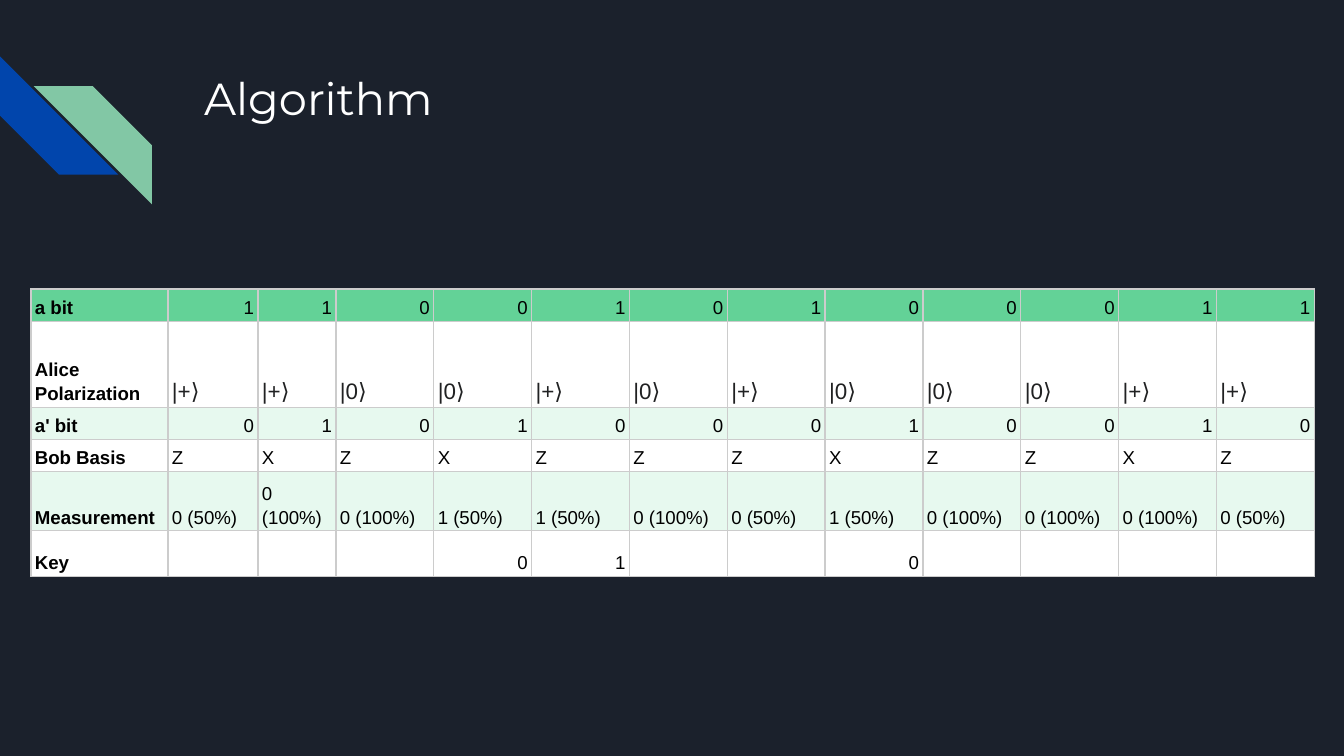
from dataclasses import dataclass

from lxml.etree import SubElement
from pptx import Presentation
from pptx.dml.color import RGBColor
from pptx.enum.shapes import MSO_SHAPE as Shape
from pptx.enum.text import MSO_ANCHOR as Anchor, PP_ALIGN as Align
from pptx.oxml.ns import qn
from pptx.slide import Slide
from pptx.table import _Cell as Cell
from pptx.util import Inches, Pt


@dataclass(frozen=True)
class Theme:
    background: str = "1B212C"
    blue: str = "0145AC"
    green: str = "82C7A5"
    title: str = "FFFFFF"
    header: str = "63D297"
    band: str = "E7F9EF"
    plain: str = "FFFFFF"
    text: str = "000000"
    state: str = "202122"
    border: str = "CCCCCC"
    title_font: str = "Montserrat"
    body_font: str = "Arial"
    title_size: float = 24
    body_size: float = 10
    state_size: float = 12
    border_width: float = 0.75


THEME = Theme()


@dataclass(frozen=True)
class Stripe:
    left: float
    top: float
    color: str
    rotation: float = 0
    mirrored: bool = False


@dataclass(frozen=True)
class ProtocolRow:
    label: str
    values: list[str]
    height: float
    fill: str
    align: Align = Align.LEFT
    size: float = THEME.body_size
    color: str = THEME.text


STRIPE_SIZE = 0.88
STRIPES = [
    Stripe(0, 0.42, THEME.blue, rotation=270),
    Stripe(0.25, 0.64, THEME.green, mirrored=True),
]

ALICE_BITS = "110010100011"
STATES = {"0": "|0⟩", "1": "|+⟩"}
MEASUREMENTS = [
    "0 (50%)", "0 (100%)", "0 (100%)", "1 (50%)", "1 (50%)", "0 (100%)",
    "0 (50%)", "1 (50%)", "0 (100%)", "0 (100%)", "0 (100%)", "0 (50%)",
]
KEY = ["", "", "", "0", "1", "", "", "0", "", "", "", ""]

ROWS = [
    ProtocolRow("a bit", list(ALICE_BITS), 0.24, THEME.header, Align.RIGHT),
    ProtocolRow("Alice Polarization", [STATES[bit] for bit in ALICE_BITS], 0.64,
                THEME.plain, size=THEME.state_size, color=THEME.state),
    ProtocolRow("a' bit", list("010100010010"), 0.24, THEME.band, Align.RIGHT),
    ProtocolRow("Bob Basis", list("ZXZXZZZXZZXZ"), 0.24, THEME.plain),
    ProtocolRow("Measurement", MEASUREMENTS, 0.44, THEME.band),
    ProtocolRow("Key", KEY, 0.29, THEME.plain, Align.RIGHT),
]
TABLE_WIDTH = 9.55
FIRST_WIDTHS = [1.02, 0.67, 0.58]
EQUAL_COLUMNS = 10
COLUMN_WIDTHS = FIRST_WIDTHS + [
    (TABLE_WIDTH - sum(FIRST_WIDTHS)) / EQUAL_COLUMNS] * EQUAL_COLUMNS


def rgb(color: str) -> RGBColor:
    return RGBColor.from_string(color)


def add_run(paragraph, text: str, font: str, size: float, color: str,
            bold: bool = False) -> None:
    run = paragraph.add_run()
    run.text = text
    run.font.name = font
    run.font.size = Pt(size)
    run.font.bold = bold
    run.font.color.rgb = rgb(color)


def add_stripe(slide: Slide, stripe: Stripe) -> None:
    shape = slide.shapes.add_shape(
        Shape.DIAGONAL_STRIPE, Inches(stripe.left), Inches(stripe.top),
        Inches(STRIPE_SIZE), Inches(STRIPE_SIZE))
    shape.adjustments[0] = 0.5
    shape.rotation = stripe.rotation
    if stripe.mirrored:
        shape.element.spPr.find(qn("a:xfrm")).set("flipH", "1")
    shape.shadow.inherit = False
    shape.fill.solid()
    shape.fill.fore_color.rgb = rgb(stripe.color)
    shape.line.fill.background()


def add_title(slide: Slide, text: str) -> None:
    frame = slide.shapes.add_textbox(
        Inches(1.42), Inches(0.43), Inches(7.7), Inches(1)).text_frame
    frame.word_wrap = True
    frame.margin_left = frame.margin_right = Inches(0.1)
    frame.margin_top = frame.margin_bottom = Inches(0.1)
    add_run(frame.paragraphs[0], text, THEME.title_font, THEME.title_size, THEME.title)


def set_borders(cell: Cell) -> None:
    """Borders go before the fill in the cell properties, so call this first."""
    properties = cell._tc.get_or_add_tcPr()
    for side in ("a:lnL", "a:lnR", "a:lnT", "a:lnB"):
        line = SubElement(properties, qn(side), w=str(Pt(THEME.border_width)))
        fill = SubElement(line, qn("a:solidFill"))
        SubElement(fill, qn("a:srgbClr"), val=THEME.border)


def fill_cell(cell: Cell, text: str, row: ProtocolRow, is_label: bool) -> None:
    set_borders(cell)
    cell.fill.solid()
    cell.fill.fore_color.rgb = rgb(row.fill)
    cell.vertical_anchor = Anchor.BOTTOM
    cell.margin_left = cell.margin_right = Inches(0.03)
    cell.margin_top = cell.margin_bottom = Inches(0.02)
    if not text:
        return
    paragraph = cell.text_frame.paragraphs[0]
    paragraph.line_spacing = 1.15
    paragraph.alignment = Align.LEFT if is_label else row.align
    size = THEME.body_size if is_label else row.size
    color = THEME.text if is_label else row.color
    add_run(paragraph, text, THEME.body_font, size, color, bold=is_label)


def add_protocol_table(slide: Slide, rows: list[ProtocolRow]) -> None:
    table = slide.shapes.add_table(
        len(rows), len(COLUMN_WIDTHS), Inches(0.23), Inches(2.15),
        Inches(TABLE_WIDTH), Inches(sum(row.height for row in rows))).table
    table.first_row = table.horz_banding = False
    for column, width in zip(table.columns, COLUMN_WIDTHS):
        column.width = Inches(width)
    for table_row, row in zip(table.rows, rows):
        table_row.height = Inches(row.height)
        for index, text in enumerate([row.label, *row.values]):
            fill_cell(table_row.cells[index], text, row, is_label=index == 0)


def main() -> None:
    deck = Presentation()
    deck.slide_width = Inches(10)
    deck.slide_height = deck.slide_width * 9 // 16
    slide = deck.slides.add_slide(deck.slide_layouts[6])
    slide.background.fill.solid()
    slide.background.fill.fore_color.rgb = rgb(THEME.background)
    for stripe in STRIPES:
        add_stripe(slide, stripe)
    add_title(slide, "Algorithm")
    add_protocol_table(slide, ROWS)
    deck.save("out.pptx")


if __name__ == "__main__":
    main()
